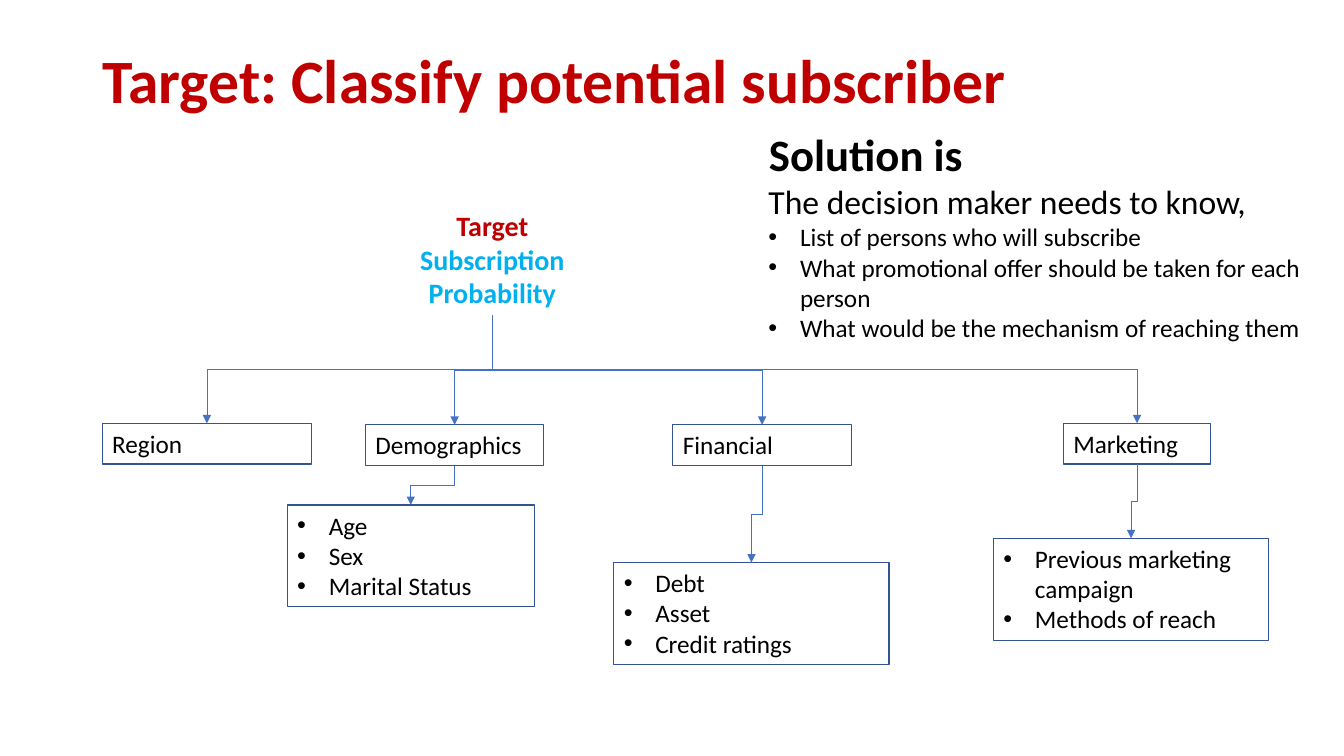
"""Build a one-slide target tree: subscription probability and its driver groups."""
import pptx
import pptx.dml.color
import pptx.enum.shapes
import pptx.enum.text
import pptx.oxml
import pptx.oxml.ns
import pptx.util

THEME = {
    "font": "Calibri",
    "red": "C00000", "cyan": "00B0F0", "black": "000000",
    "border": "325491", "connector": "4472C4",
    "title": 44, "heading": 32, "lead": 24, "target": 20, "body": 18,
    "border_width": 0.75, "connector_width": 0.5,
}
CELL = pptx.util.Inches(0.1)
SLIDE_CELLS = (133.33, 75)
HANGING = 3.13 * CELL
CATEGORY_HEIGHT = 4.04
DETAIL_HEIGHT = 10.1

TITLE = "Target: Classify potential subscriber"
SOLUTION_HEADING = "Solution is"
SOLUTION_LEAD = "The decision maker needs to know,"
SOLUTION_POINTS = [
    "List of persons who will subscribe",
    "What promotional offer should be taken for each person",
    "What would be the mechanism of reaching them",
]
TARGET = [("Target", "red"), ("Subscription Probability", "cyan")]

GROUPS = [
    {"name": "Region", "at": (10.15, 42, 20.75)},
    {"name": "Demographics", "at": (36.25, 42.15, 17.7),
     "details": ["Age", "Sex", "Marital Status"], "details_at": (28.5, 50.1, 24.5)},
    {"name": "Financial", "at": (66.75, 42.15, 17.7),
     "details": ["Debt", "Asset", "Credit ratings"], "details_at": (60.9, 55.8, 27.3)},
    {"name": "Marketing", "at": (105.5, 42, 14.6),
     "details": ["Previous marketing campaign", "Methods of reach"],
     "details_at": (98.55, 53.4, 27.3)},
]


def color(name):
    return pptx.dml.color.RGBColor.from_string(THEME[name])


def line(text, size="body", tint="black", **extras):
    return {"text": text, "size": size, "tint": tint, **extras}


def bullets(texts):
    return [line(text, bullet=True) for text in texts]


def add_bullet(paragraph):
    properties = paragraph._p.get_or_add_pPr()
    for name, value in {"marL": HANGING, "indent": -HANGING}.items():
        properties.set(name, str(int(value)))
    for tag, name, value in (("a:buFont", "typeface", "Arial"), ("a:buChar", "char", "•")):
        pptx.oxml.ns.qn(tag)
        element = properties.makeelement(pptx.oxml.ns.qn(tag), {name: value})
        properties.append(element)


def write(shape, lines, anchor="TOP", align="LEFT", spacing=None):
    frame = shape.text_frame
    frame_format = {
        "word_wrap": True,
        "auto_size": pptx.enum.text.MSO_AUTO_SIZE.NONE,
        "vertical_anchor": getattr(pptx.enum.text.MSO_ANCHOR, anchor),
    }
    for name, value in frame_format.items():
        setattr(frame, name, value)
    for index, entry in enumerate(lines):
        paragraph = frame.add_paragraph() if index else frame.paragraphs[0]
        paragraph.alignment = getattr(pptx.enum.text.PP_ALIGN, align)
        paragraph.line_spacing = spacing
        if entry.get("bullet"):
            add_bullet(paragraph)
        run = paragraph.add_run()
        run.text = entry["text"]
        font_format = {
            "name": THEME["font"],
            "size": pptx.util.Pt(THEME[entry["size"]]),
            "bold": entry.get("bold", False),
        }
        for name, value in font_format.items():
            setattr(run.font, name, value)
        run.font.color.rgb = color(entry["tint"])


def cells(*lengths):
    return [round(length * CELL) for length in lengths]


def add_text(slide, box, lines, **layout):
    shape = slide.shapes.add_textbox(*cells(*box))
    write(shape, lines, **layout)
    return shape


def add_box(slide, box, lines):
    rectangle = pptx.enum.shapes.MSO_SHAPE.RECTANGLE
    shape = slide.shapes.add_shape(rectangle, *cells(*box))
    shape.shadow.inherit = False
    shape.fill.background()
    shape.line.color.rgb = color("border")
    shape.line.width = pptx.util.Pt(THEME["border_width"])
    write(shape, lines)
    return shape


def add_branch(slide, parent, child):
    start_x, start_y = parent.left + parent.width // 2, parent.top + parent.height
    end_x, end_y = child.left + child.width // 2, child.top
    elbow = pptx.enum.shapes.MSO_CONNECTOR.ELBOW
    connector = slide.shapes.add_connector(elbow, start_x, start_y, end_x, end_y)
    connector.begin_connect(parent, 2)
    connector.end_connect(child, 0)

    drop, shift = end_y - start_y, abs(end_x - start_x)
    placement = {
        "left": (start_x + end_x - drop) // 2,
        "top": (start_y + end_y - shift) // 2,
        "width": drop,
        "height": shift,
    }
    for name, value in placement.items():
        setattr(connector, name, value)
    rightward = end_x > start_x
    turn = {"rot": str((270 if rightward else 90) * 60000),
            "flipH": str(int(rightward)), "flipV": "0"}
    properties = connector._element.spPr
    transform = properties.find(pptx.oxml.ns.qn("a:xfrm"))
    for name, value in turn.items():
        transform.set(name, value)

    connector.line.color.rgb = color("connector")
    connector.line.width = pptx.util.Pt(THEME["connector_width"])
    outline = connector.line._get_or_add_ln()
    arrow = outline.makeelement(pptx.oxml.ns.qn("a:tailEnd"), {"type": "triangle"})
    outline.append(arrow)
    properties.append(properties.makeelement(pptx.oxml.ns.qn("a:effectLst"), {}))


def main():
    presentation = pptx.Presentation()
    presentation.slide_width, presentation.slide_height = cells(*SLIDE_CELLS)
    slide = presentation.slides.add_slide(presentation.slide_layouts[6])

    add_text(slide, (9.2, 4, 115, 8.5), [line(TITLE, "title", "red", bold=True)],
             anchor="MIDDLE", spacing=0.9)
    add_text(slide, (75.3, 12.1, 30.8, 6.4),
             [line(SOLUTION_HEADING, "heading", bold=True)])
    add_text(slide, (75.25, 17.5, 55.9, 17.2),
             [line(SOLUTION_LEAD, "lead")] + bullets(SOLUTION_POINTS))
    target = add_text(slide, (40.2, 20.2, 17.3, 11.1),
                      [line(text, "target", tint, bold=True) for text, tint in TARGET],
                      align="CENTER")

    for group in GROUPS:
        category = add_box(slide, (*group["at"], CATEGORY_HEIGHT), [line(group["name"])])
        add_branch(slide, target, category)
        if "details" in group:
            details = add_box(slide, (*group["details_at"], DETAIL_HEIGHT),
                              bullets(group["details"]))
            add_branch(slide, category, details)

    presentation.save("out.pptx")


if __name__ == "__main__":
    main()
